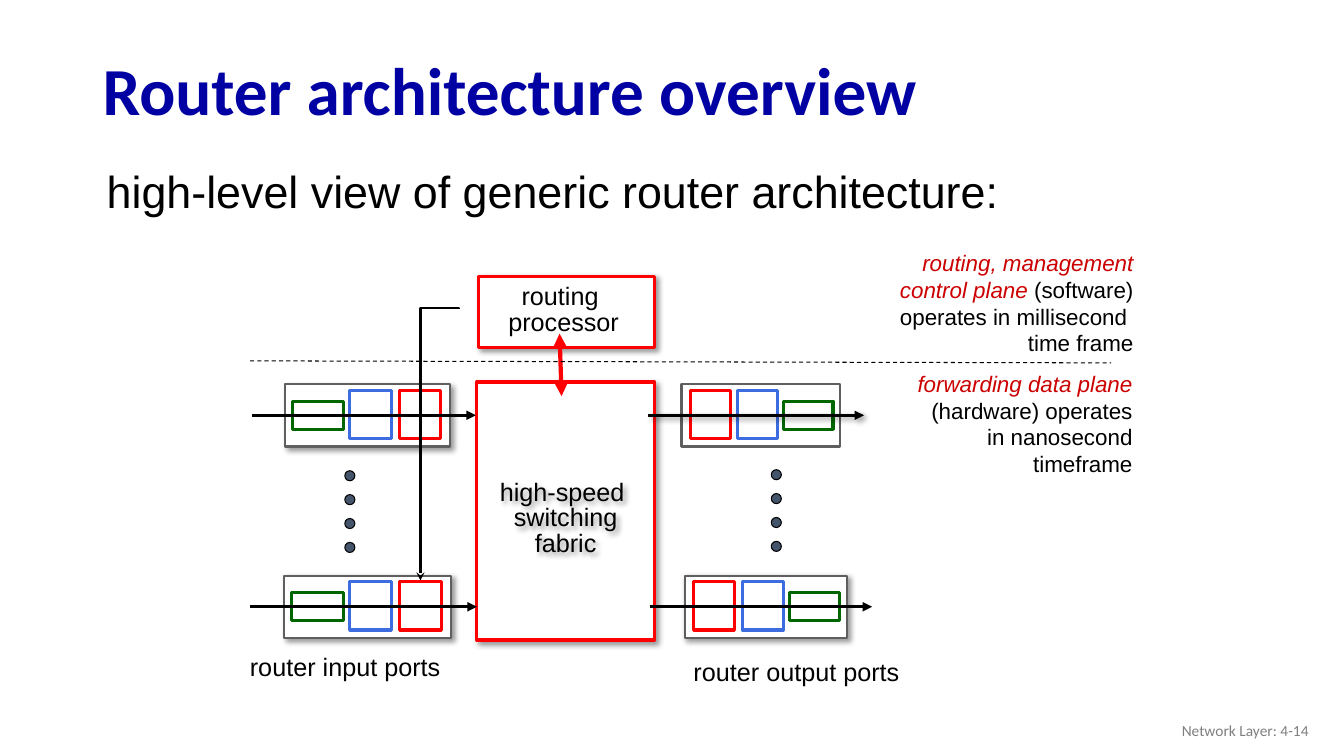
from dataclasses import dataclass

from lxml.etree import SubElement
from pptx import Presentation
from pptx.dml.color import RGBColor
from pptx.enum.dml import MSO_LINE
from pptx.enum.shapes import MSO_CONNECTOR as CONNECTOR, MSO_SHAPE as SHAPE
from pptx.enum.text import MSO_ANCHOR as ANCHOR, PP_ALIGN as ALIGN
from pptx.oxml.ns import qn
from pptx.util import Inches, Pt

COLORS = {
    "black": "000000", "white": "FFFFFF", "title": "0000A3", "accent": "CC0000",
    "red": "FF0000", "blue": "3C6CDF", "green": "006600", "frame": "5F5F5F",
    "dot": "44546A", "footer": "7F7F7F",
}


@dataclass
class Run:
    text: str
    color: str = "black"
    bold: bool = False
    italic: bool = False


@dataclass
class Port:
    left: float
    top: float
    width: float
    arrow_start: float
    arrow_end: float
    mirrored: bool = False
    frame_shadow: bool = True
    arrow_shadow: bool = False


@dataclass
class Stage:
    """A box inside a port, measured from the frame's outer edge."""
    offset: float
    top: float
    width: float
    height: float
    color: str


STAGES = [
    Stage(0.07, 0.17, 0.51, 0.28, "green"),
    Stage(0.64, 0.06, 0.41, 0.48, "blue"),
    Stage(1.13, 0.06, 0.41, 0.48, "red"),
]
STAGE_UNIT = 1.63  # port width for which the stages are measured
PORT_HEIGHT = 0.62

PORTS = [
    Port(2.83, 3.81, 1.63, 2.5, 4.72),
    Port(2.82, 5.71, 1.65, 2.48, 4.73),
    Port(6.76, 3.81, 1.57, 6.43, 8.57, True, False, True),
    Port(6.79, 5.71, 1.61, 6.45, 8.65, True),
]

prs = Presentation()
prs.slide_width, prs.slide_height = Inches(13.33), Inches(7.5)
slide = prs.slides.add_slide(prs.slide_layouts[6])


def rgb(name: str) -> RGBColor:
    return RGBColor.from_string(COLORS[name])


def set_effects(item, shadow: bool) -> None:
    """Give the item a soft drop shadow, or an empty effect list."""
    effects = SubElement(item._element.spPr, qn("a:effectLst"))
    if shadow:
        outer = SubElement(effects, qn("a:outerShdw"), blurRad=str(Pt(4)),
                           dist=str(Pt(3)), dir="2700000", algn="tl", rotWithShape="0")
        color = SubElement(outer, qn("a:srgbClr"), val=COLORS["black"])
        SubElement(color, qn("a:alpha"), val="40000")


def add_box(left: float, top: float, width: float, height: float, line: str,
            weight: float = 2.25, fill: str = "white", shadow: bool = False,
            kind: SHAPE = SHAPE.RECTANGLE) -> None:
    box = slide.shapes.add_shape(kind, Inches(left), Inches(top), Inches(width), Inches(height))
    box.fill.solid()
    box.fill.fore_color.rgb = rgb(fill)
    box.line.color.rgb = rgb(line)
    box.line.width = Pt(weight)
    set_effects(box, shadow)


def add_line(start: tuple[float, float], end: tuple[float, float], weight: float,
             color: str = "black", head: str = "", tail: str = "", shadow: bool = False,
             kind: CONNECTOR = CONNECTOR.STRAIGHT):
    line = slide.shapes.add_connector(kind, *map(Inches, start + end))
    line.line.color.rgb = rgb(color)
    line.line.width = Pt(weight)
    for tag, arrow in (("a:headEnd", head), ("a:tailEnd", tail)):
        if arrow:
            SubElement(line.line._get_or_add_ln(), qn(tag), type=arrow)
    set_effects(line, shadow)
    return line


def add_text(left: float, top: float, width: float, height: float,
             paragraphs: list[list[Run]], size: float, font: str = "Arial",
             align: ALIGN = ALIGN.LEFT, anchor: ANCHOR = ANCHOR.TOP,
             spacing: float = 1.0, wrap: bool = True, shadow: bool = False) -> None:
    box = slide.shapes.add_textbox(Inches(left), Inches(top), Inches(width), Inches(height))
    frame = box.text_frame
    frame.word_wrap = wrap
    frame.vertical_anchor = anchor
    for index, runs in enumerate(paragraphs):
        paragraph = frame.add_paragraph() if index else frame.paragraphs[0]
        paragraph.alignment = align
        paragraph.line_spacing = spacing
        for part in runs:
            run = paragraph.add_run()
            run.text = part.text
            run.font.name = font
            run.font.size = Pt(size)
            run.font.bold = part.bold
            run.font.italic = part.italic
            run.font.color.rgb = rgb(part.color)
    if shadow:
        set_effects(box, True)


def add_port(port: Port) -> None:
    add_box(port.left, port.top, port.width, PORT_HEIGHT, "frame", 1.5, shadow=port.frame_shadow)
    scale = port.width / STAGE_UNIT
    for stage in STAGES:
        offset, width = stage.offset * scale, stage.width * scale
        if port.mirrored:
            offset = port.width - offset - width
        add_box(port.left + offset, port.top + stage.top, width, stage.height, stage.color)
    middle = port.top + PORT_HEIGHT / 2
    add_line((port.arrow_start, middle), (port.arrow_end, middle), 2.25,
             tail="triangle", shadow=port.arrow_shadow)


def add_ellipsis(left: float, top: float) -> None:
    """Four dots down the page, standing for the ports between."""
    for index in range(4):
        add_box(left, top + 0.237 * index, 0.1, 0.1, "black", 0.75, "dot", kind=SHAPE.OVAL)


def add_control_path() -> None:
    """Elbow arrow from the routing processor down to the last input port."""
    elbow = add_line((3.01, 4.22), (5.71, 4.6), 1.5, tail="stealth", kind=CONNECTOR.ELBOW)
    properties = elbow._element.spPr
    properties.find(qn("a:xfrm")).set("rot", "5400000")
    adjustments = properties.find(qn("a:prstGeom")).find(qn("a:avLst"))
    SubElement(adjustments, qn("a:gd"), name="adj1", fmla="val -100")


def main() -> None:
    add_text(0.92, 0.44, 11.5, 0.98, [[Run("Router architecture overview", "title", bold=True)]],
             48, "Calibri", anchor=ANCHOR.MIDDLE, spacing=0.9)
    add_text(0.96, 1.58, 11.8, 0.64,
             [[Run("high-level view of generic router architecture:")]], 32)

    add_box(4.73, 3.79, 1.76, 2.56, "red", shadow=True)
    add_text(4.85, 4.72, 1.52, 0.87,
             [[Run("high-speed ")], [Run("switching")], [Run("fabric")]],
             18, align=ALIGN.CENTER, spacing=0.85, shadow=True)
    add_box(4.75, 2.74, 1.74, 0.71, "red", shadow=True)
    add_text(4.94, 2.78, 1.3, 0.61, [[Run("routing ")], [Run("processor")]],
             18, align=ALIGN.CENTER, spacing=0.85)
    add_line((5.55, 3.31), (5.57, 3.93), 3, "red", "triangle", "triangle")

    for port in PORTS:
        add_port(port)
    add_ellipsis(3.42, 4.67)
    add_ellipsis(7.65, 4.66)
    add_text(2.38, 6.41, 2.09, 0.4, [[Run("router input ports")]], 18, wrap=False)
    add_text(6.78, 6.46, 2.24, 0.4, [[Run("router output ports")]], 18, wrap=False)

    plane_divider = add_line((2.48, 3.58), (11.02, 3.6), 0.75)
    plane_divider.line.dash_style = MSO_LINE.DASH
    add_text(8.94, 3.62, 2.39, 1.18,
             [[Run("forwarding data plane ", "accent", italic=True),
               Run("(hardware) operates in nanosecond timeframe")]], 16, align=ALIGN.RIGHT)
    add_text(8.19, 2.42, 3.15, 1.18,
             [[Run("routing, management", "accent", italic=True)],
              [Run("control plane ", "accent", italic=True), Run("(software)")],
              [Run("operates in millisecond ")],
              [Run("time frame")]], 16, align=ALIGN.RIGHT)
    add_control_path()
    add_text(10.08, 7.05, 3, 0.4, [[Run("Network Layer: 4-14", "footer")]], 11, "Calibri",
             ALIGN.RIGHT, ANCHOR.MIDDLE)
    prs.save("out.pptx")


if __name__ == "__main__":
    main()
